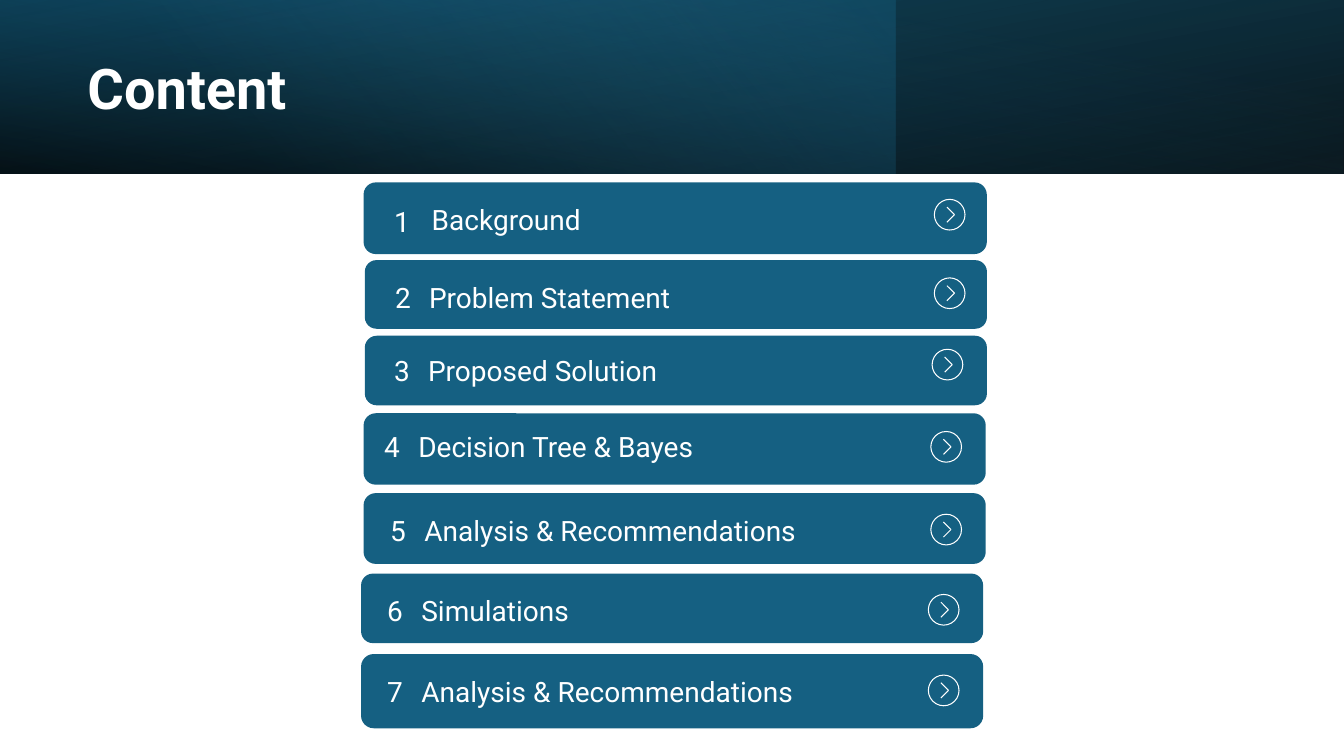
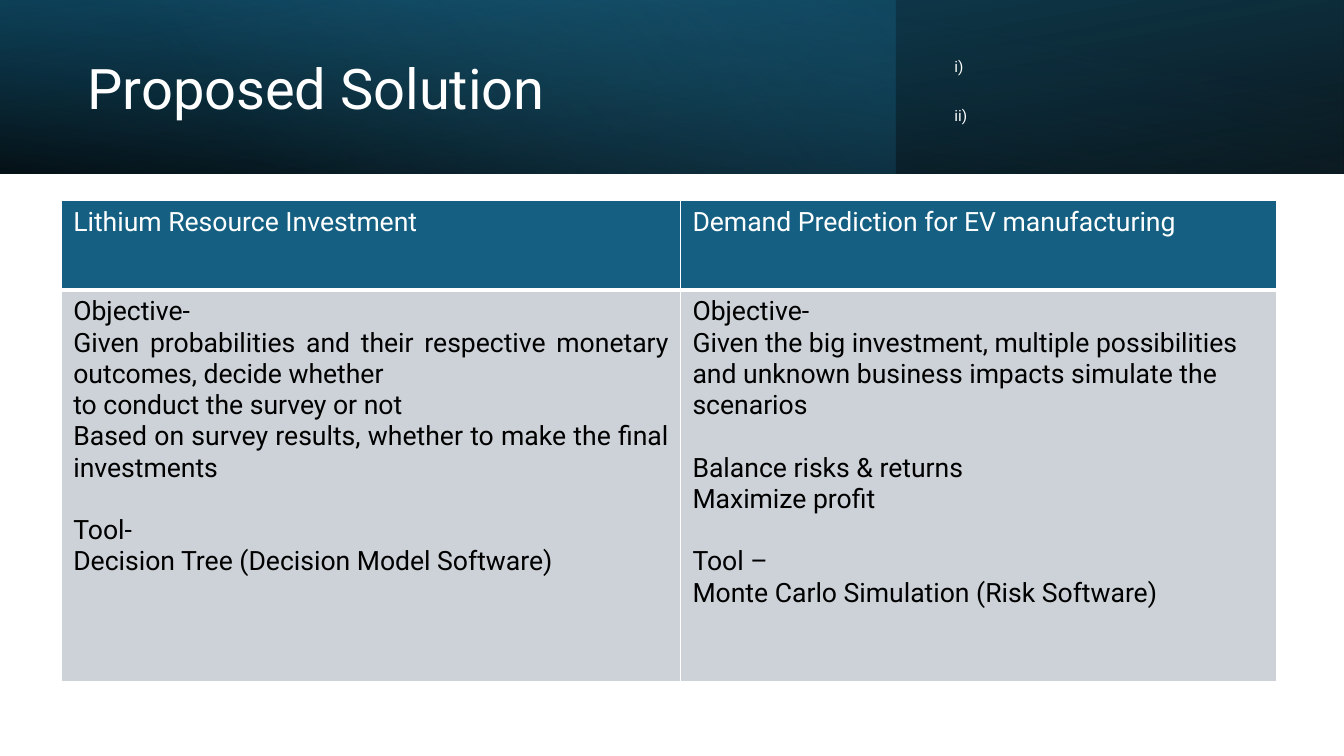
"""Build a contents slide and a proposed solution slide under a shared gradient band."""
import collections

import lxml.etree
import pptx
import pptx.dml.color
import pptx.enum.shapes
import pptx.enum.text
import pptx.oxml.ns
import pptx.util

Pt = pptx.util.Pt
qn = pptx.oxml.ns.qn
Align = pptx.enum.text.PP_ALIGN
Anchor = pptx.enum.text.MSO_ANCHOR
Preset = pptx.enum.shapes.MSO_SHAPE

COLORS = {
    "white": "FFFFFF",
    "black": "000000",
    "teal": "156082",
    "deep_teal": "104862",
    "sky": "46B1E1",
    "cell": "CCD2D8",
}
FONT = "Roboto"
SLIDE_WIDTH, SLIDE_HEIGHT = 960, 540
BAND_HEIGHT = 124
TABLE_LINE = 22.3
ARROW_SIZE = 21.9

Gradient = collections.namedtuple("Gradient", "width rotation flipped angle stops")
BAND_GRADIENTS = [
    Gradient(SLIDE_WIDTH, 180, True, 100, [(0, "black", 96), (100, "deep_teal", 100)]),
    Gradient(640, 0, False, 140, [(0, "teal", 41), (74, "sky", 0)]),
    Gradient(SLIDE_WIDTH, 0, True, 260, [(0, "black", 63), (78, "teal", 15)]),
]

MenuRow = collections.namedtuple(
    "MenuRow",
    "label left top width height arrow_left arrow_top number_left label_left text_top"
    " number_spacing label_spacing",
    defaults=(1.15, 1.15),
)
MENU = [
    MenuRow("Background", 259.7, 130.3, 445.2, 51.2, 667.4, 142.4, 272.2, 308.4, 141.2, 1.15, 1),
    MenuRow("Problem Statement", 260.6, 185.8, 444.4, 49, 667.4, 198.5, 272.9, 306.5, 195.8),
    MenuRow("Proposed Solution", 260.6, 239.8, 444.4, 49.7, 665.8, 249.5, 272.2, 305.8, 247.3),
    MenuRow("Decision Tree & Bayes", 259.7, 295.2, 444.4, 51, 664.9, 308.2, 265, 298.8, 303.8, 1, 1),
    MenuRow("Analysis & Recommendations", 259.7, 352.3, 444.4, 50.5, 664.9, 367.3, 269.3, 303.1, 362.2),
    MenuRow("Simulations", 257.9, 409.7, 444.4, 49.7, 663.1, 424.6, 267.1, 301, 419),
    MenuRow("Analysis & Recommendations", 257.9, 467.2, 444.4, 53, 663.1, 482.2, 267.1, 301, 476.6),
]

HEADINGS = ["Lithium Resource Investment", "Demand Prediction for EV manufacturing"]
LITHIUM_BLOCKS = [
    [
        "Objective-",
        "Given probabilities and their respective monetary outcomes, decide whether",
        "to conduct the survey or not",
        "Based on survey results, whether to make the final investments",
    ],
    ["Tool-", "Decision Tree (Decision Model Software)"],
]
DEMAND_BLOCKS = [
    [
        "Objective-",
        "Given the big investment, multiple possibilities and unknown business impacts"
        " simulate the scenarios",
    ],
    ["Balance risks & returns", "Maximize profit"],
    ["Tool –", "Monte Carlo Simulation (Risk Software)"],
]


def rgb(name):
    return pptx.dml.color.RGBColor.from_string(COLORS[name])


def add_element(parent, tag, **attributes):
    element = lxml.etree.SubElement(parent, qn(tag))
    for name, value in attributes.items():
        element.set(name, str(value))
    return element


def add_color(parent, name):
    return add_element(parent, "a:srgbClr", val=COLORS[name])


def write_paragraph(paragraph, text, size, color="white", bold=False):
    run = paragraph.add_run()
    run.text = text
    run.font.name = FONT
    run.font.size = Pt(size)
    run.font.bold = bold
    run.font.color.rgb = rgb(color)


def add_preset(shapes, preset, left, top, width, height):
    shape = shapes.add_shape(preset, Pt(left), Pt(top), Pt(width), Pt(height))
    shape.shadow.inherit = False
    return shape


def add_text(slide, lines, left, top, width, height, size,
             spacing=1, gap=0, insets=(7.2, 3.6), bold=False):
    box = slide.shapes.add_textbox(Pt(left), Pt(top), Pt(width), Pt(height))
    frame = box.text_frame
    frame.word_wrap = True
    frame.vertical_anchor = Anchor.MIDDLE
    frame.margin_left = frame.margin_right = Pt(insets[0])
    frame.margin_top = frame.margin_bottom = Pt(insets[1])
    for index, line in enumerate(lines):
        paragraph = frame.add_paragraph() if index else frame.paragraphs[0]
        paragraph.line_spacing = spacing
        if index:
            paragraph.space_before = Pt(gap)
        write_paragraph(paragraph, line, size, bold=bold)


def add_gradient(slide, gradient):
    shape = add_preset(slide.shapes, Preset.RECTANGLE, 0, 0, gradient.width, BAND_HEIGHT)
    shape.line.fill.background()
    shape.rotation = gradient.rotation
    properties = shape.element.spPr
    if gradient.flipped:
        properties.find(qn("a:xfrm")).set("flipH", "1")
    fill = lxml.etree.Element(qn("a:gradFill"), rotWithShape="1")
    stops = add_element(fill, "a:gsLst")
    for position, color, opacity in gradient.stops:
        stop = add_element(stops, "a:gs", pos=position * 1000)
        add_element(add_color(stop, color), "a:alpha", val=opacity * 1000)
    add_element(fill, "a:lin", ang=gradient.angle * 60000, scaled=0)
    properties.find(qn("a:prstGeom")).addnext(fill)


def add_titled_slide(presentation, title, bold=False):
    slide = presentation.slides.add_slide(presentation.slide_layouts[6])
    for gradient in BAND_GRADIENTS:
        add_gradient(slide, gradient)
    add_text(slide, [title], 55.4, 19.4, 555.8, 91.4, 40, spacing=0.9, bold=bold)
    return slide


def add_arrow_button(slide, left, top):
    group = slide.shapes.add_group_shape()
    circle = add_preset(group.shapes, Preset.OVAL, left, top, ARROW_SIZE, ARROW_SIZE)
    circle.fill.background()
    circle.line.color.rgb = rgb("white")
    circle.line.width = Pt(0.75)
    middle = top + ARROW_SIZE / 2
    for offset in (5.4, -5.4):
        stroke = group.shapes.add_connector(
            pptx.enum.shapes.MSO_CONNECTOR.STRAIGHT,
            Pt(left + 9), Pt(middle + offset), Pt(left + 14.4), Pt(middle))
        stroke.line.color.rgb = rgb("white")
        stroke.line.width = Pt(0.75)
        add_element(stroke.element.spPr, "a:effectLst")


def add_menu_row(slide, number, row):
    bar = add_preset(slide.shapes, Preset.ROUNDED_RECTANGLE,
                     row.left, row.top, row.width, row.height)
    bar.adjustments[0] = 0.17
    bar.fill.solid()
    bar.fill.fore_color.rgb = rgb("teal")
    bar.line.fill.background()
    add_arrow_button(slide, row.arrow_left, row.arrow_top)
    add_text(slide, [str(number)], row.number_left, row.text_top, 33.8, 30.2, 20,
             spacing=row.number_spacing, insets=(9.4, 9.4))
    add_text(slide, [row.label], row.label_left, row.text_top, 342.7, 30.2, 20,
             spacing=row.label_spacing, insets=(0, 0))


def set_borders(cell, widths):
    properties = cell._tc.get_or_add_tcPr()
    for index, (side, width) in enumerate(zip("LRTB", widths)):
        line = lxml.etree.Element(qn(f"a:ln{side}"), w=str(Pt(width)))
        add_color(add_element(line, "a:solidFill"), "white")
        properties.insert(index, line)


def fill_cell(cell, blocks, fill, color, align, bottom_border):
    cell.fill.solid()
    cell.fill.fore_color.rgb = rgb(fill)
    cell.margin_left = cell.margin_right = Pt(8.5)
    cell.margin_top = cell.margin_bottom = Pt(4.25)
    set_borders(cell, (1, 1, 1, bottom_border))
    frame = cell.text_frame
    for block_index, block in enumerate(blocks):
        for line_index, line in enumerate(block):
            is_first = block_index == line_index == 0
            paragraph = frame.paragraphs[0] if is_first else frame.add_paragraph()
            paragraph.alignment = align
            if block_index and not line_index:
                paragraph.space_before = Pt(TABLE_LINE)
            write_paragraph(paragraph, line, 19, color)


def add_solution_table(slide):
    widths, heights = (442.3, 425.7), (64, 279.4)
    table = slide.shapes.add_table(
        2, 2, Pt(43.9), Pt(143.4), Pt(sum(widths)), Pt(sum(heights))).table
    table.first_row = table.horz_banding = False
    for column, width in zip(table.columns, widths):
        column.width = Pt(width)
    for row, height in zip(table.rows, heights):
        row.height = Pt(height)
    bodies = [(LITHIUM_BLOCKS, Align.JUSTIFY), (DEMAND_BLOCKS, Align.LEFT)]
    for index, (heading, (blocks, align)) in enumerate(zip(HEADINGS, bodies)):
        fill_cell(table.cell(0, index), [[heading]], "teal", "white", Align.JUSTIFY, 3)
        fill_cell(table.cell(1, index), blocks, "cell", "black", align, 1)


def main():
    presentation = pptx.Presentation()
    presentation.slide_width = Pt(SLIDE_WIDTH)
    presentation.slide_height = Pt(SLIDE_HEIGHT)

    content = add_titled_slide(presentation, "Content", bold=True)
    for number, row in enumerate(MENU, 1):
        add_menu_row(content, number, row)

    solution = add_titled_slide(presentation, "Proposed Solution")
    add_text(solution, ["i)", "ii)"], 674.6, 31, 254.9, 69.1, 11, spacing=0.9, gap=23)
    add_solution_table(solution)

    presentation.save("out.pptx")


if __name__ == "__main__":
    main()
